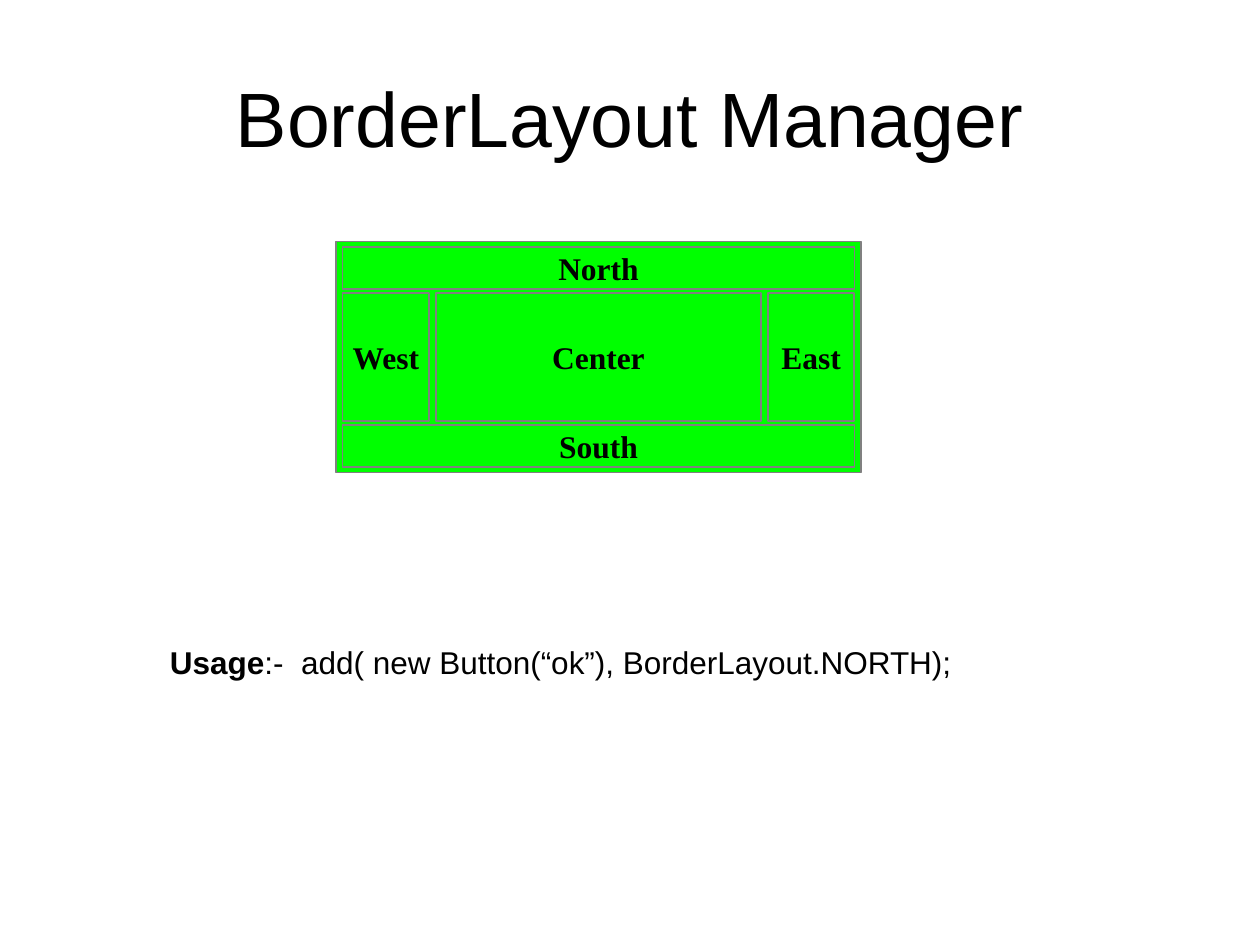
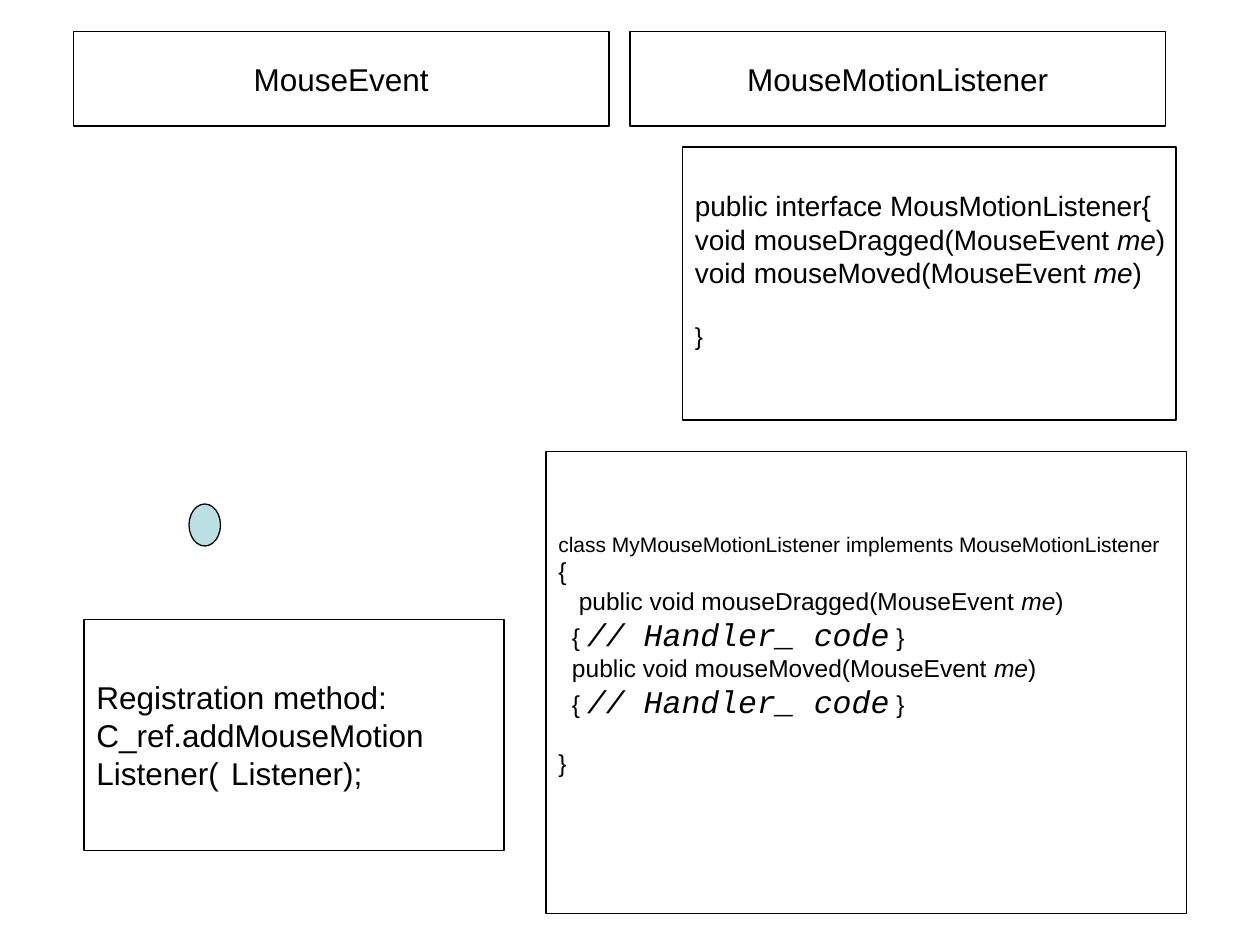
from lxml.etree import SubElement
from pptx import Presentation
from pptx.dml.color import RGBColor
from pptx.enum.shapes import MSO_SHAPE as SHAPE
from pptx.enum.text import MSO_ANCHOR as ANCHOR, PP_ALIGN as ALIGN
from pptx.oxml.ns import qn
from pptx.util import Pt

PX = 9525  # EMU per px, 96 px to the inch
BLACK = RGBColor(0x00, 0x00, 0x00)
WHITE = RGBColor(0xFF, 0xFF, 0xFF)
GREEN = RGBColor(0x00, 0xFF, 0x00)
GREY = RGBColor(0x80, 0x80, 0x80)
PALE_BLUE = RGBColor(0xBB, 0xE0, 0xE3)
SANS, SERIF, MONO = "Arial", "Times New Roman", "Courier New"
TITLE_ONLY, BLANK = 5, 6


def emu(*lengths):
    return [n * PX for n in lengths]


def add_run(p, text, size=18, font=SANS, bold=False, italic=False):
    r = p.add_run()
    r.text = text
    f = r.font
    f.name, f.size, f.bold, f.italic = font, Pt(size), bold, italic
    f.color.rgb = BLACK


def draw(shapes, box, fill=WHITE, line=BLACK, width=0.75, kind=SHAPE.RECTANGLE):
    s = shapes.add_shape(kind, *emu(*box))
    s.shadow.inherit = False
    s.fill.solid()
    s.fill.fore_color.rgb = fill
    s.line.color.rgb = line
    s.line.width = Pt(width)
    return s


def write(s, lines, align=ALIGN.LEFT, space_below=0):
    """Each line is a list of (text, format) runs."""
    tf = s.text_frame
    tf.word_wrap = False
    tf.vertical_anchor = ANCHOR.MIDDLE
    tf.margin_bottom += Pt(space_below)
    for i, runs in enumerate(lines):
        p = tf.paragraphs[0] if i == 0 else tf.add_paragraph()
        p.alignment = align
        for text, style in runs:
            add_run(p, text, **style)
    return tf


def set_title(slide, text, box):
    title = slide.shapes.title
    title.left, title.top, title.width, title.height = emu(*box)
    tf = title.text_frame
    tf.vertical_anchor = ANCHOR.MIDDLE
    p = tf.paragraphs[0]
    p.alignment = ALIGN.CENTER
    add_run(p, text, size=44)


def border_layout(slide, box):
    """Five named regions inside a frame."""
    x, y, w, h = box
    pad_x, pad_y, gap_x, gap_y = 5, 4, 5, 3
    side, bar = 66, 32
    left, top = x + pad_x, y + pad_y
    inner_w = w - 2 * pad_x
    mid_y = top + bar + gap_y
    mid_h = h - 2 * (pad_y + bar + gap_y)
    right = left + inner_w - side
    regions = {
        "North": (left, top, inner_w, bar),
        "South": (left, mid_y + mid_h + gap_y, inner_w, bar),
        "Center": (left + side + gap_x, mid_y, inner_w - 2 * (side + gap_x), mid_h),
        "East": (right, mid_y, side, mid_h),
        "West": (left, mid_y, side, mid_h),
    }
    shapes = slide.shapes.add_group_shape().shapes
    draw(shapes, box, GREEN, GREY, 1)
    for name, region in regions.items():
        s = draw(shapes, region, GREEN, GREY, 1)
        write(s, [[(name, dict(font=SERIF, bold=True))]], ALIGN.CENTER)


def usage(slide, box):
    s = draw(slide.shapes, box, line=WHITE)
    write(s, [[("Usage", dict(bold=True)),
               (":-  add( new Button(“ok”), BorderLayout.NORTH);", {})]])


def heading(slide, text, box):
    write(draw(slide.shapes, box), [[(text, {})]], ALIGN.CENTER)


def method(start, size):
    """Signature line with its argument in italics."""
    plain = dict(size=size)
    return [(start + "(MouseEvent ", plain), ("me", dict(size=size, italic=True)),
            (")", plain)]


def interface_code(slide, box):
    tf = write(draw(slide.shapes, box), [
        [("public interface MousMotionListener{", dict(size=16))],
        method("void mouseDragged", 16),
        method("void mouseMoved", 16),
        [("}", dict(size=14))],
    ], space_below=16)
    tf.paragraphs[-1].space_before = Pt(18)


def handler_code(slide, box):
    code = dict(size=14)
    body = [("  { ", code), ("// Handler_ code", dict(font=MONO, italic=True)),
            (" }", code)]
    tf = write(draw(slide.shapes, box), [
        [("class MyMouseMotionListener implements MouseMotionListener", dict(size=12))],
        [("{", code)],
        method("   public void mouseDragged", 14),
        body,
        method("  public void mouseMoved", 14),
        body,
        [("}", code)],
    ], space_below=32)
    tf.paragraphs[-1].space_before = Pt(16)


def registration(slide, box):
    lines = ["Registration method:", "C_ref.addMouseMotion", "Listener(\t Listener);"]
    tf = write(draw(slide.shapes, box), [[(text, {})] for text in lines])
    # Tab stop at one inch for the argument
    tabs = SubElement(tf.paragraphs[-1]._p.get_or_add_pPr(), qn("a:tabLst"))
    SubElement(tabs, qn("a:tab"), pos=str(96 * PX), algn="l")


def layout_slide(prs):
    slide = prs.slides.add_slide(prs.slide_layouts[TITLE_ONLY])
    set_title(slide, "BorderLayout Manager", (48, 29, 864, 120))
    border_layout(slide, (256, 184, 400, 176))
    usage(slide, (120, 440, 760, 128))


def listener_slide(prs):
    slide = prs.slides.add_slide(prs.slide_layouts[BLANK])
    draw(slide.shapes, (144, 384, 24, 32), PALE_BLUE, kind=SHAPE.OVAL)
    handler_code(slide, (416, 344, 488, 352))
    for i, text in enumerate(["MouseEvent", "MouseMotionListener"]):
        heading(slide, text, (56 + i * 424, 24, 408, 72))
    interface_code(slide, (520, 112, 376, 208))
    registration(slide, (64, 472, 320, 176))


def main():
    prs = Presentation()
    prs.slide_width, prs.slide_height = emu(960, 720)
    layout_slide(prs)
    listener_slide(prs)
    prs.save("out.pptx")


if __name__ == "__main__":
    main()
